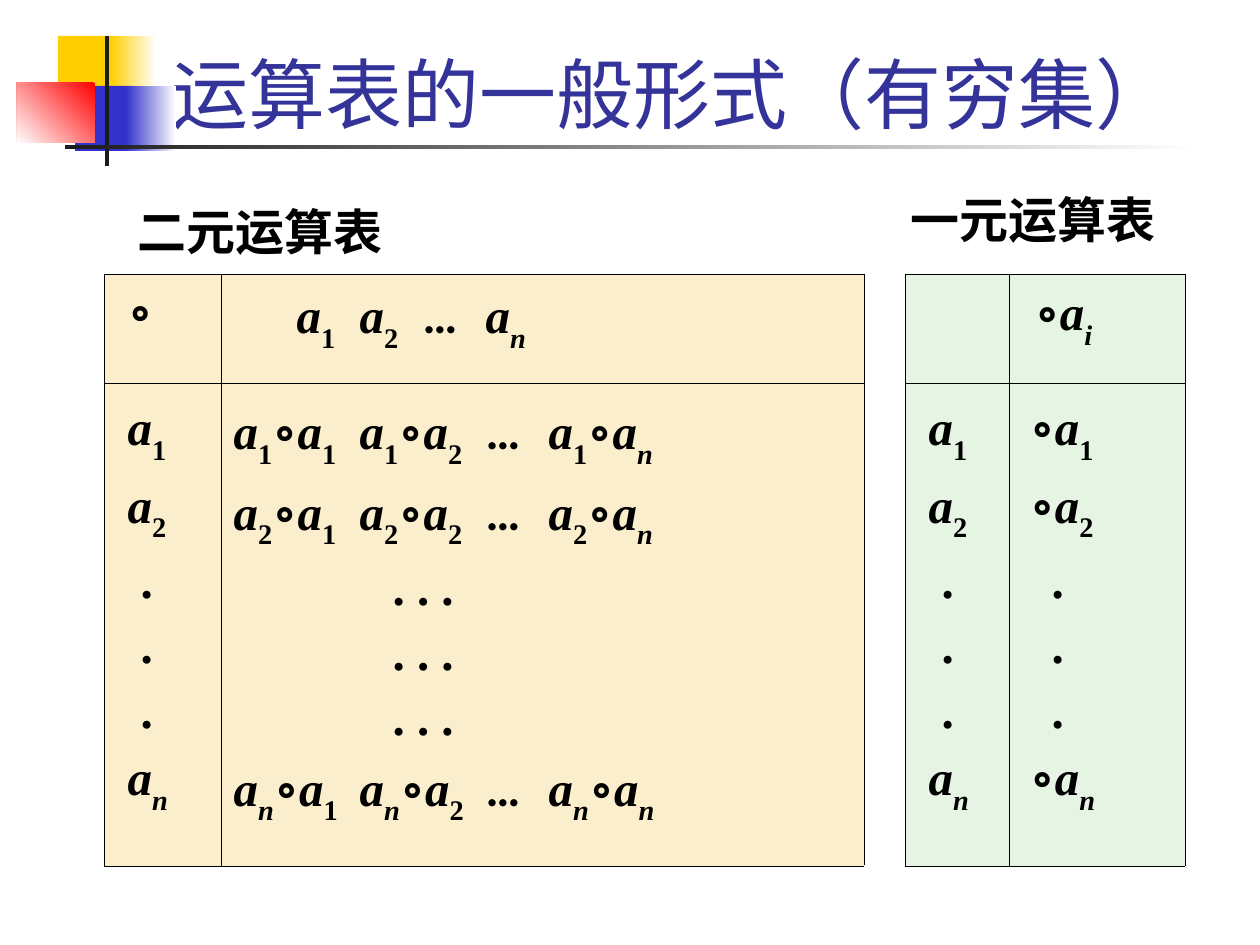
"""Build a slide with general operation tables for a finite set."""
from itertools import groupby

from lxml.etree import SubElement
from pptx import Presentation
from pptx.dml.color import RGBColor
from pptx.enum.shapes import MSO_SHAPE as Shape
from pptx.enum.text import MSO_ANCHOR as Anchor, MSO_AUTO_SIZE as AutoSize, PP_ALIGN as Align
from pptx.oxml import parse_xml
from pptx.oxml.ns import nsdecls, qn
from pptx.util import Emu, Pt

SCALE = 914400 / 126
WHITE = RGBColor(0xFF, 0xFF, 0xFF)
BLACK = RGBColor(0x00, 0x00, 0x00)
YELLOW = RGBColor(0xFF, 0xCF, 0x01)
BLUE = RGBColor(0x33, 0x33, 0xCC)
RED = RGBColor(0xFF, 0x00, 0x00)
CHARCOAL = RGBColor(0x1C, 0x1C, 0x1C)
NAVY = RGBColor(0x33, 0x33, 0x99)
CREAM = RGBColor(0xFB, 0xEE, 0xCD)
MINT = RGBColor(0xE6, 0xF5, 0xE3)

BODY_FORMAT = {"size": Pt(28), "bold": True, "name": "Times New Roman"}
SUBSCRIPTS = {"₁": "1", "₂": "2", "ₙ": "n", "ᵢ": "i"}


def px(length):
    return Emu(round(length * SCALE))


def add_math(para, text):
    def style(char):
        return char in SUBSCRIPTS, char in "aₙᵢ", char == "…"

    for (lowered, italic, ellipsis), chars in groupby(text, key=style):
        span = para.add_run()
        span.text = "".join(SUBSCRIPTS.get(char, char) for char in chars)
        formats = BODY_FORMAT | {"italic": italic}
        if ellipsis:
            formats["name"] = "Calibri"
        for key, value in formats.items():
            setattr(span.font, key, value)
        span.font.color.rgb = BLACK
        if lowered:
            span.font._element.set("baseline", "-30000")


deck = Presentation()
deck.slide_width, deck.slide_height = px(1260), px(945)
page = deck.slides.add_slide(deck.slide_layouts[5])

ornaments = [
    ((58, 36, 60, 65), YELLOW, None, 0),
    ((111, 36, 45, 65), WHITE, YELLOW, 180),
    ((75, 86, 58, 65), BLUE, None, 0),
    ((126, 86, 50, 65), WHITE, BLUE, 180),
    ((17, 83, 78, 60), RED, WHITE, 225),
    ((105, 36, 4, 130), CHARCOAL, None, 0),
    ((65, 145, 1134, 4), WHITE, CHARCOAL, 180),
]
for bounds, start, end, angle in ornaments:
    block = page.shapes.add_shape(Shape.RECTANGLE, *map(px, bounds))
    block.shadow.inherit = False
    block.line.fill.background()
    if end is None:
        block.fill.solid()
        block.fill.fore_color.rgb = start
    else:
        block.fill.gradient()
        block.fill.gradient_angle = angle
        for stop, color in zip(block.fill.gradient_stops, (start, end)):
            stop.color.rgb = color

title = page.shapes.title
title.left, title.top, title.width, title.height = map(px, (159, 10, 1074, 135))
title.text_frame.text = "运算表的一般形式（有穷集）"
for key, value in {"vertical_anchor": Anchor.BOTTOM, "auto_size": AutoSize.NONE}.items():
    setattr(title.text_frame, key, value)
para = title.text_frame.paragraphs[0]
para.alignment = Align.LEFT
span = para.runs[0]
for key, value in {"size": Pt(44), "name": "Cabin"}.items():
    setattr(span.font, key, value)
span.font.color.rgb = NAVY

table = page.shapes.add_table(2, 5, *map(px, (104, 274, 1081, 592))).table
table.first_row = table.horz_banding = False
for column, width in zip(table.columns, (117, 643, 41, 104, 176)):
    column.width = px(width)
for row, height in zip(table.rows, (109, 483)):
    row.height = px(height)

indices = "₁₂ₙ"
dots = ["."] * 3
labels = ["a" + index for index in indices]
products = [f"a{i}∘a₁\ta{i}∘a₂\t…\ta{i}∘aₙ" for i in indices]
results = ["∘" + label for label in labels]
label_lines = labels[:2] + dots + labels[2:]
product_lines = products[:2] + [". . ."] * 3 + products[2:]
result_lines = results[:2] + dots + results[2:]

contents = {
    (0, 0): (["∘"], 11, 0, ()),
    (0, 1): (["\ta₁\ta₂\t…\taₙ"], 0, 0, (24, 160, 286, 417)),
    (0, 4): (["∘aᵢ"], 13, 0, ()),
    (1, 0): (label_lines, 11, 24, ()),
    (1, 1): (product_lines, 0, 159, (139, 279, 374)),
    (1, 3): (label_lines, 11, 24, ()),
    (1, 4): (result_lines, 8, 30, ()),
}
for (row, col), (lines, indent, dot_indent, tabs) in contents.items():
    frame = table.cell(row, col).text_frame
    for number, text in enumerate(lines):
        para = frame.add_paragraph() if number else frame.paragraphs[0]
        para.line_spacing = 1.2 if row else 1.1
        props = para._p.get_or_add_pPr()
        props.set("marL", str(px(dot_indent if text.startswith(".") else indent)))
        props.set("indent", "0")
        if tabs:
            tab_list = SubElement(props, qn("a:tabLst"))
            for tab in tabs:
                SubElement(tab_list, qn("a:tab"), pos=str(px(tab)), algn="l")
        add_math(para, text)

table.cell(0, 2).merge(table.cell(1, 2))
for row in range(2):
    for col, color in enumerate((CREAM, CREAM, None, MINT, MINT)):
        cell = table.cell(row, col)
        if color is None:
            cell.fill.background()
        else:
            cell.fill.solid()
            cell.fill.fore_color.rgb = color
        props = cell._tc.get_or_add_tcPr()
        for place, side in enumerate("LR" if color is None else "LRTB"):
            props.insert(place, parse_xml(
                f'<a:ln{side} {nsdecls("a")} w="{Pt(0.45)}"><a:solidFill>'
                f'<a:srgbClr val="{BLACK}"/></a:solidFill></a:ln{side}>'))

for left, top, heading in ((125, 195, "二元运算表"), (898, 183, "一元运算表")):
    box = page.shapes.add_textbox(*map(px, (left, top, 270, 72)))
    box.text_frame.word_wrap = False
    add_math(box.text_frame.paragraphs[0], heading)

deck.save("out.pptx")
